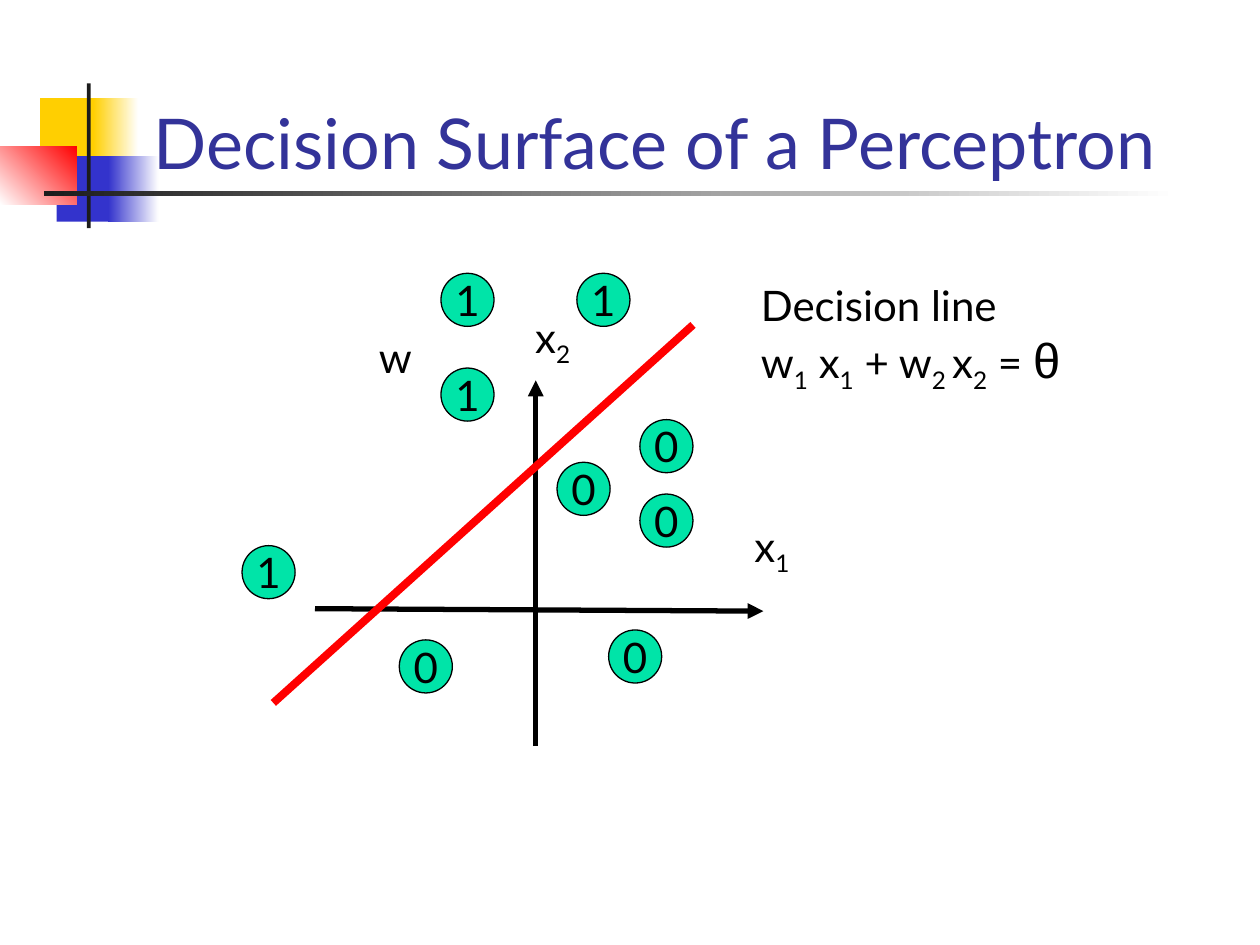
from lxml.etree import SubElement
from pptx import Presentation
from pptx.dml.color import RGBColor
from pptx.enum.shapes import MSO_CONNECTOR, MSO_SHAPE
from pptx.enum.text import MSO_ANCHOR, PP_ALIGN
from pptx.oxml.ns import qn
from pptx.util import Cm, Pt

COLORS = {
    "yellow": "FFCF01",
    "blue": "3333CC",
    "red": "FF0000",
    "dark": "1C1C1C",
    "white": "FFFFFF",
    "black": "000000",
    "title": "333399",
    "point": "00E4A8",
}
FONT = "Lato"
POINT_SIZE = 1.07

# left, top, width, height, colour, angle of the fade to white (None: solid)
ORNAMENTS = [
    (0.81, 1.98, 1.22, 1.32, "yellow", None),
    (1.88, 1.98, 0.91, 1.32, "yellow", 0),
    (1.14, 3.15, 1.17, 1.32, "blue", None),
    (2.18, 3.15, 1.02, 1.32, "blue", 0),
    (0, 2.95, 1.55, 1.17, "red", 225),
    (1.75, 1.68, 0.08, 2.92, "dark", None),
    (0.89, 3.86, 22.86, 0.1, "dark", 0),
]

# left and top of the points in each class
POINTS = {
    "1": [(8.89, 7.42), (8.89, 5.51), (11.63, 5.51), (4.88, 11)],
    "0": [(12.9, 8.46), (12.9, 9.96), (12.27, 12.7), (8.05, 12.9), (11.23, 9.32)],
}


def color(name):
    return RGBColor.from_string(COLORS[name])


def set_font(paragraph, size, color_name):
    paragraph.font.name = FONT
    paragraph.font.size = Pt(size)
    paragraph.font.color.rgb = color(color_name)


def add_ornament(slide, left, top, width, height, color_name, angle):
    shape = slide.shapes.add_shape(
        MSO_SHAPE.RECTANGLE, Cm(left), Cm(top), Cm(width), Cm(height))
    shape.shadow.inherit = False
    shape.line.fill.background()
    if angle is None:
        shape.fill.solid()
        shape.fill.fore_color.rgb = color(color_name)
        return
    shape.fill.gradient()
    shape.fill.gradient_angle = angle
    for stop, name, position in zip(
            shape.fill.gradient_stops, (color_name, "white"), (0, 1)):
        stop.color.rgb = color(name)
        stop.position = position


def format_title(slide, text):
    title = slide.shapes.title
    title.left, title.top = Cm(2.84), Cm(0.64)
    title.width, title.height = Cm(21.64), Cm(3.18)
    title.text_frame.text = text
    title.text_frame.vertical_anchor = MSO_ANCHOR.BOTTOM
    paragraph = title.text_frame.paragraphs[0]
    paragraph.alignment = PP_ALIGN.LEFT
    set_font(paragraph, 40, "title")


def add_line(slide, start, end, color_name, width, arrow=False):
    connector = slide.shapes.add_connector(
        MSO_CONNECTOR.STRAIGHT, *map(Cm, start), *map(Cm, end))
    connector.line.color.rgb = color(color_name)
    connector.line.width = Pt(width)
    if arrow:
        SubElement(connector.line._get_or_add_ln(), qn("a:tailEnd"), type="triangle")
    SubElement(connector._element.spPr, qn("a:effectLst"))


def add_label(slide, left, top, width, height, *lines):
    """Add a text box; every second piece of a line is a subscript."""
    box = slide.shapes.add_textbox(Cm(left), Cm(top), Cm(width), Cm(height))
    frame = box.text_frame
    frame.word_wrap = False
    for number, pieces in enumerate(lines):
        paragraph = frame.add_paragraph() if number else frame.paragraphs[0]
        set_font(paragraph, 24, "black")
        for index, text in enumerate(pieces):
            run = paragraph.add_run()
            run.text = text
            if index % 2:
                run.font._element.set("baseline", "-25000")
    return box


def add_point(slide, left, top, text):
    shape = slide.shapes.add_shape(
        MSO_SHAPE.OVAL, Cm(left), Cm(top), Cm(POINT_SIZE), Cm(POINT_SIZE))
    shape.shadow.inherit = False
    shape.fill.solid()
    shape.fill.fore_color.rgb = color("point")
    shape.line.color.rgb = color("black")
    shape.line.width = Pt(0.75)
    frame = shape.text_frame
    frame.word_wrap = False
    frame.vertical_anchor = MSO_ANCHOR.MIDDLE
    frame.text = text
    paragraph = frame.paragraphs[0]
    paragraph.alignment = PP_ALIGN.CENTER
    set_font(paragraph, 24, "black")


def main():
    presentation = Presentation()
    presentation.slide_width, presentation.slide_height = Cm(25.4), Cm(19.05)
    slide = presentation.slides.add_slide(presentation.slide_layouts[5])

    for ornament in ORNAMENTS:
        add_ornament(slide, *ornament)
    format_title(slide, "Decision Surface of a Perceptron")

    add_line(slide, (10.8, 15.04), (10.8, 7.67), "black", 3, arrow=True)
    add_line(slide, (6.35, 12.27), (15.39, 12.32), "black", 3, arrow=True)
    add_label(slide, 14.96, 10.36, 1.22, 1.42, ["x", "1"])
    add_label(slide, 10.54, 6.15, 1.22, 1.42, ["x", "2"])
    add_line(slide, (5.51, 14.17), (13.97, 6.55), "red", 4.5)

    equation = ["w", "1", " x", "1", " + w", "2 ", "x", "2", " = "]
    box = add_label(slide, 15.09, 5.51, 6.55, 2.57, ["Decision line"], equation)
    theta = box.text_frame.paragraphs[1].add_run()
    theta.text = "θ"
    theta.font.name = "Arial"
    theta.font.size = Pt(28)
    add_label(slide, 7.39, 6.55, 1.17, 1.27, ["w"])

    for text, places in POINTS.items():
        for left, top in places:
            add_point(slide, left, top, text)

    presentation.save("out.pptx")


if __name__ == "__main__":
    main()
